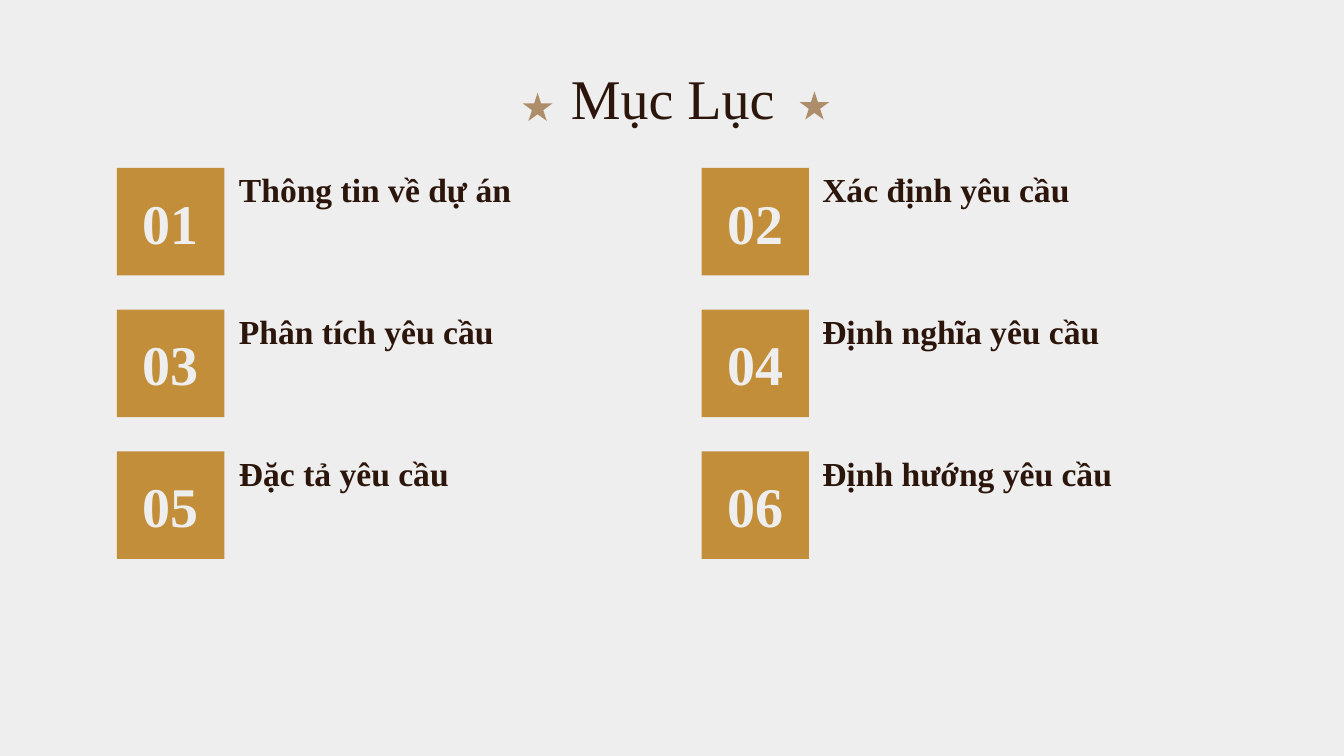
from pptx import Presentation
from pptx.dml.color import RGBColor
from pptx.enum.shapes import MSO_SHAPE
from pptx.enum.text import MSO_ANCHOR, MSO_AUTO_SIZE, PP_ALIGN
from pptx.util import Inches, Pt

TITLE = "Mục Lục"
TOPICS = [
    "Thông tin về dự án",
    "Xác định yêu cầu",
    "Phân tích yêu cầu",
    "Định nghĩa yêu cầu",
    "Đặc tả yêu cầu",
    "Định hướng yêu cầu",
]
COLORS = {"paper": "EEEEEE", "ink": "2C160B", "gold": "C28E3A", "star": "AE8E6A"}
FONT = "Times New Roman"
COLUMNS = [(0.87, 1.68), (5.22, 6.02)]
FIRST_ROW, LAST_ROW, TILE = 1.25, 3.36, 0.8
STARS = [(3.89, 0.69), (5.95, 0.68)]

RECTANGLE, STAR = MSO_SHAPE.RECTANGLE, MSO_SHAPE.STAR_5_POINT
TOP, MIDDLE, BOTTOM = MSO_ANCHOR.TOP, MSO_ANCHOR.MIDDLE, MSO_ANCHOR.BOTTOM
LEFT, CENTER = PP_ALIGN.LEFT, PP_ALIGN.CENTER
NO_AUTOFIT = MSO_AUTO_SIZE.NONE


def color(name):
    return RGBColor.from_string(COLORS[name])


def write(shape, text, size=30, ink="ink", bold=False, align=CENTER, anchor=MIDDLE):
    frame = shape.text_frame
    frame.auto_size = NO_AUTOFIT
    frame.word_wrap = True
    frame.vertical_anchor = anchor
    frame.margin_left = frame.margin_right = Inches(0.1)
    frame.margin_top = frame.margin_bottom = Inches(0.1)
    paragraph = frame.paragraphs[0]
    paragraph.alignment = align
    run = paragraph.add_run()
    run.text = text
    run.font.name = FONT
    run.font.size = Pt(size)
    run.font.bold = bold
    run.font.color.rgb = color(ink)


def add_solid(slide, kind, left, top, width, height, fill):
    solid = slide.shapes.add_shape(kind, Inches(left), Inches(top), Inches(width), Inches(height))
    solid.shadow.inherit = False
    solid.fill.solid()
    solid.fill.fore_color.rgb = color(fill)
    solid.line.fill.background()
    return solid


def main():
    deck = Presentation()
    deck.slide_width = Inches(10)
    deck.slide_height = deck.slide_width * 9 // 16
    slide = deck.slides.add_slide(deck.slide_layouts.get_by_name("Title Only"))
    slide.background.fill.solid()
    slide.background.fill.fore_color.rgb = color("paper")

    title = slide.shapes.title
    title.left, title.top = Inches(0.79), Inches(0.37)
    title.width, title.height = Inches(8.43), Inches(0.63)
    write(title, TITLE, anchor=TOP)

    for left, top in STARS:
        add_solid(slide, STAR, left, top, 0.22, 0.21, "star")

    row_step = (LAST_ROW - FIRST_ROW) / (len(TOPICS) // len(COLUMNS) - 1)
    for index, topic in enumerate(TOPICS):
        row, column = divmod(index, len(COLUMNS))
        tile_left, topic_left = COLUMNS[column]
        top = FIRST_ROW + row * row_step
        tile = add_solid(slide, RECTANGLE, tile_left, top, TILE, TILE, "gold")
        write(tile, f"{index + 1:02d}", ink="paper", bold=True)
        label = slide.shapes.add_textbox(
            Inches(topic_left), Inches(top + 0.01), Inches(3.13), Inches(0.4))
        write(label, topic, size=18, bold=True, align=LEFT, anchor=BOTTOM)

    deck.save("out.pptx")


if __name__ == "__main__":
    main()
